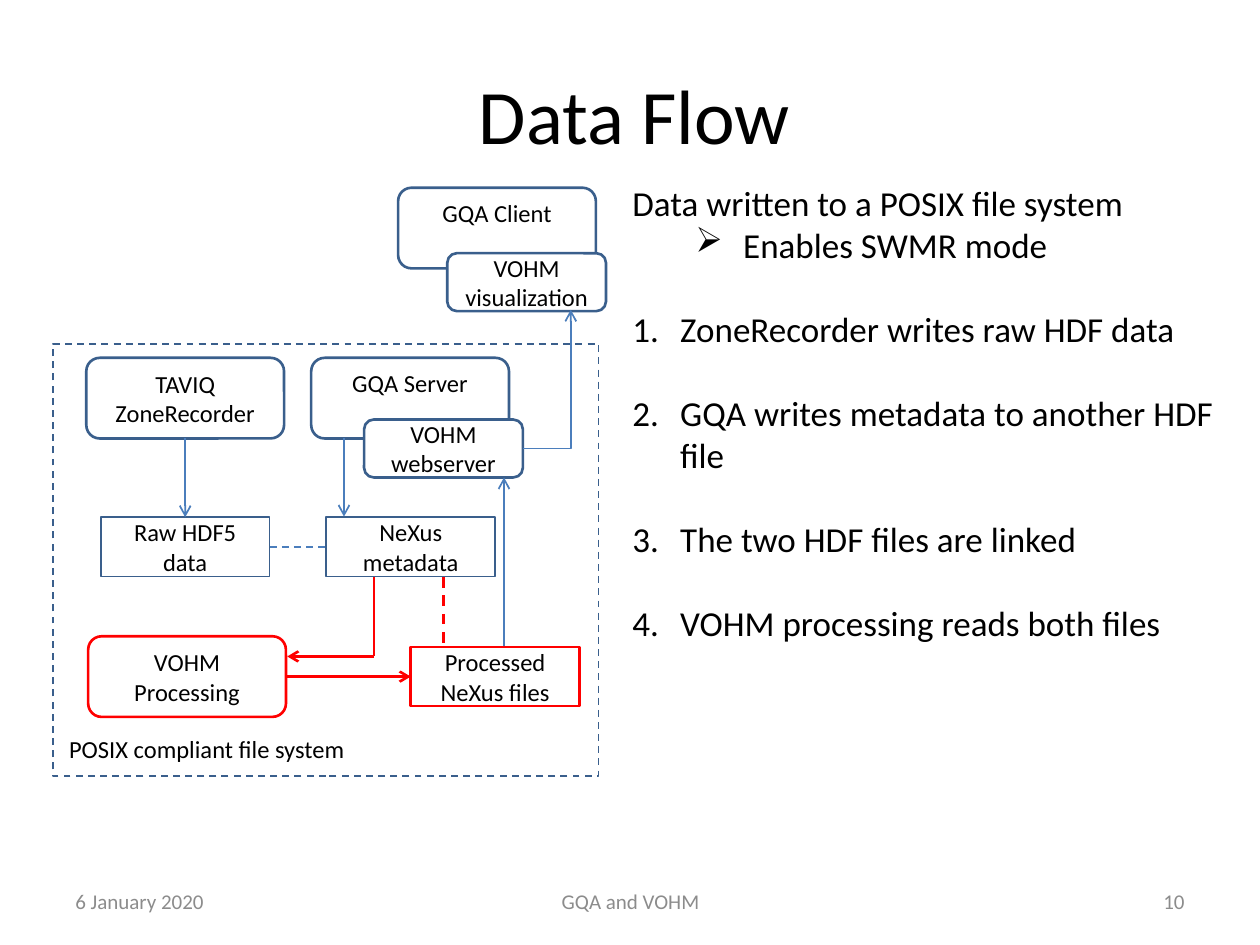
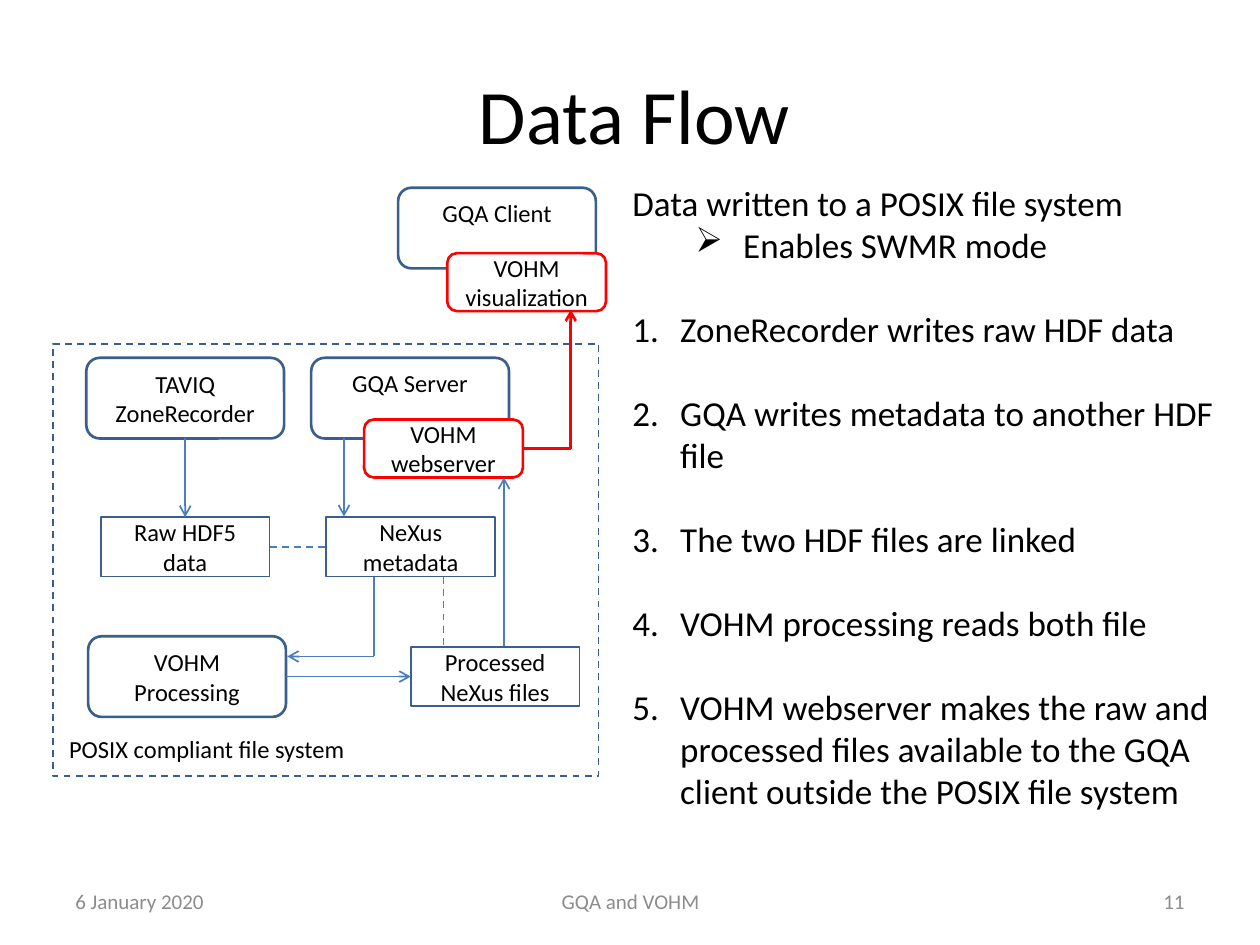
from lxml.etree import SubElement
from pptx import Presentation
from pptx.dml.color import RGBColor
from pptx.enum.dml import MSO_LINE
from pptx.enum.shapes import MSO_CONNECTOR as Link, MSO_SHAPE as Shape
from pptx.enum.text import MSO_ANCHOR as Anchor, PP_ALIGN as Align
from pptx.oxml.ns import qn
from pptx.util import Inches, Pt

BLACK = RGBColor(0, 0, 0)
WHITE = RGBColor(255, 255, 255)
GREY = RGBColor(0x8C, 0x8C, 0x8C)
OUTLINE = RGBColor(0x3A, 0x5F, 0x8C)
ARROW = RGBColor(0x4B, 0x7E, 0xBC)
HIGHLIGHT = RGBColor(255, 0, 0)
FONT = "Calibri"

SLIDE_COLUMNS, SLIDE_ROWS = 100, 75
COMPONENT = (15.7, 6.4)
PLUGIN = (12.6, 4.6)
DATA_FILE = (13.4, 4.7)
BODY_SIZE, BODY_LINE = 20, 24
LABEL_SIZE, LABEL_LINE = 14, 0.24

STEPS = [
    "ZoneRecorder writes raw HDF data",
    "GQA writes metadata to another HDF file",
    "The two HDF files are linked",
]
READ_STEP = "VOHM processing reads both file"
SERVE_STEP = ("VOHM webserver makes the raw and processed files available "
              "to the GQA client outside the POSIX file system")


def grid(*cells):
    return [Inches(cell / 10) for cell in cells]


def style(paragraph, size, color=BLACK, align=Align.LEFT):
    paragraph.alignment = align
    paragraph.font.name = FONT
    paragraph.font.size = Pt(size)
    paragraph.font.color.rgb = color


def add_title(slide, text):
    title = slide.shapes.title
    title.left, title.top, title.width, title.height = grid(16.9, 2.8, 66.9, 12.5)
    title.text_frame.text = text
    title.text_frame.vertical_anchor = Anchor.MIDDLE
    style(title.text_frame.paragraphs[0], 44, align=Align.CENTER)


def add_text(slide, place, text, size, color=BLACK, align=Align.LEFT, anchor=Anchor.TOP):
    frame = slide.shapes.add_textbox(*grid(*place)).text_frame
    frame.word_wrap = True
    frame.vertical_anchor = anchor
    frame.text = text
    style(frame.paragraphs[0], size, color, align)
    return frame


def add_footer(slide, number):
    for left, width, text, align in [
        (5, 23.3, "6 January 2020", Align.LEFT),
        (34.2, 31.7, "GQA and VOHM", Align.CENTER),
        (71.7, 23.3, str(number), Align.RIGHT),
    ]:
        add_text(slide, (left, 69.5, width, 4), text, 12, GREY, align, Anchor.MIDDLE)


def add_box(slide, kind, place, color, width, text="", fill=None):
    box = slide.shapes.add_shape(kind, *grid(*place))
    box.shadow.inherit = False
    if fill is None:
        box.fill.background()
    else:
        box.fill.solid()
        box.fill.fore_color.rgb = fill
    box.line.color.rgb = color
    box.line.width = Pt(width)
    frame = box.text_frame
    frame.word_wrap = True
    frame.vertical_anchor = Anchor.MIDDLE
    if text:
        frame.text = text
        style(frame.paragraphs[0], LABEL_SIZE, align=Align.CENTER)
    return box


def add_link(slide, start, end, hot=False, arrow=True, dashed=False, kind=Link.STRAIGHT):
    link = slide.shapes.add_connector(kind, *grid(*start, *end))
    link.line.color.rgb = HIGHLIGHT if hot else ARROW
    link.line.width = Pt(1.5 if hot else 1)
    if dashed:
        link.line.dash_style = MSO_LINE.DASH
    properties = link._element.spPr
    if arrow:
        SubElement(properties.find(qn("a:ln")), qn("a:tailEnd"), type="arrow")
    SubElement(properties, qn("a:effectLst"))
    if kind == Link.ELBOW:
        properties.find(qn("a:prstGeom")).set("prst", "bentConnector2")
    return link


def join(link, source, source_side, target, target_side):
    link.begin_connect(source, source_side)
    link.end_connect(target, target_side)


def add_boxes(slide, hot):
    layout = [
        ("GQA Server", Shape.ROUNDED_RECTANGLE, (24.7, 28.4), COMPONENT),
        ("GQA Client", Shape.ROUNDED_RECTANGLE, (31.6, 14.9), COMPONENT),
        ("VOHM Processing", Shape.ROUNDED_RECTANGLE, (7, 50.5), COMPONENT),
        ("TAVIQ ZoneRecorder", Shape.ROUNDED_RECTANGLE, (6.85, 28.4), COMPONENT),
        ("VOHM visualization", Shape.ROUNDED_RECTANGLE, (35.5, 20.1), PLUGIN),
        ("Raw HDF5 data", Shape.RECTANGLE, (8, 41.05), DATA_FILE),
        ("NeXus metadata", Shape.RECTANGLE, (25.9, 41.05), DATA_FILE),
        ("Processed NeXus files", Shape.RECTANGLE, (32.6, 51.35), DATA_FILE),
        ("VOHM webserver", Shape.ROUNDED_RECTANGLE, (28.9, 33.3), PLUGIN),
    ]
    boxes = {}
    for name, kind, corner, size in layout:
        thick = name in hot or kind == Shape.ROUNDED_RECTANGLE
        boxes[name] = add_box(slide, kind, corner + size,
                              HIGHLIGHT if name in hot else OUTLINE,
                              1.5 if thick else 1, name,
                              WHITE if size == PLUGIN else None)
    for name in ("GQA Server", "GQA Client"):
        boxes[name].text_frame.margin_bottom = Inches(0.05 + LABEL_LINE)
    return boxes


def add_diagram(slide, hot):
    boxes = add_boxes(slide, hot)
    processing = "VOHM Processing" in hot
    serving = "VOHM webserver" in hot
    raw, metadata = boxes["Raw HDF5 data"], boxes["NeXus metadata"]

    join(add_link(slide, (14.7, 34.8), (14.7, 41)),
         boxes["TAVIQ ZoneRecorder"], 2, raw, 0)
    add_link(slide, (27.3, 34.8), (27.3, 41))
    join(add_link(slide, (22.8, 53.7), (32.6, 53.7), processing),
         boxes["VOHM Processing"], 3, boxes["Processed NeXus files"], 1)
    add_link(slide, (40, 51.3), (40, 37.9))
    add_link(slide, (29.7, 52.1), (22.8, 52.1), processing)
    add_link(slide, (29.7, 52.1), (29.7, 45.8), processing, arrow=False)
    add_link(slide, (35.2, 45.8), (35.2, 51.3), processing, arrow=False, dashed=True)
    join(add_link(slide, (21.4, 43.4), (25.9, 43.4), arrow=False, dashed=True),
         raw, 3, metadata, 1)

    file_system = add_box(slide, Shape.RECTANGLE, (4.2, 27.3, 43.3, 34.3), OUTLINE, 1)
    file_system.line.dash_style = MSO_LINE.DASH
    add_text(slide, (4.5, 57.8, 32.3, 3.4), "POSIX compliant file system", LABEL_SIZE)
    add_link(slide, (41.5, 35.6), (45.3, 24.6), serving, kind=Link.ELBOW)


def add_bullet(paragraph, indent, tag, **attributes):
    properties = paragraph._p.get_or_add_pPr()
    properties.set("marL", str(Inches(indent)))
    properties.set("indent", str(-Inches(0.38)))
    SubElement(properties, qn(tag), **attributes)


def add_steps(slide, steps, height):
    frame = add_text(slide, (49.2, 13.9, 48.8, height),
                     "Data written to a POSIX file system", BODY_SIZE)
    mode = frame.add_paragraph()
    mode.text = "Enables SWMR mode"
    mode.level = 1
    style(mode, BODY_SIZE)
    add_bullet(mode, 0.88, "a:buChar", char="➢")
    for step in steps:
        paragraph = frame.add_paragraph()
        paragraph.text = step
        style(paragraph, BODY_SIZE)
        add_bullet(paragraph, 0.38, "a:buAutoNum", type="arabicPeriod")
        paragraph.space_before = Pt(BODY_LINE)


def add_flow_slide(presentation, number, hot, steps, height):
    slide = presentation.slides.add_slide(presentation.slide_layouts[5])
    add_title(slide, "Data Flow")
    add_footer(slide, number)
    add_diagram(slide, hot)
    add_steps(slide, steps, height)


def main():
    presentation = Presentation()
    presentation.slide_width, presentation.slide_height = grid(SLIDE_COLUMNS, SLIDE_ROWS)
    add_flow_slide(presentation, 10, {"VOHM Processing", "Processed NeXus files"},
                   STEPS + [READ_STEP + "s"], 41.4)
    add_flow_slide(presentation, 11, {"VOHM visualization", "VOHM webserver"},
                   STEPS + [READ_STEP, SERVE_STEP], 54.5)
    presentation.save("out.pptx")


if __name__ == "__main__":
    main()
